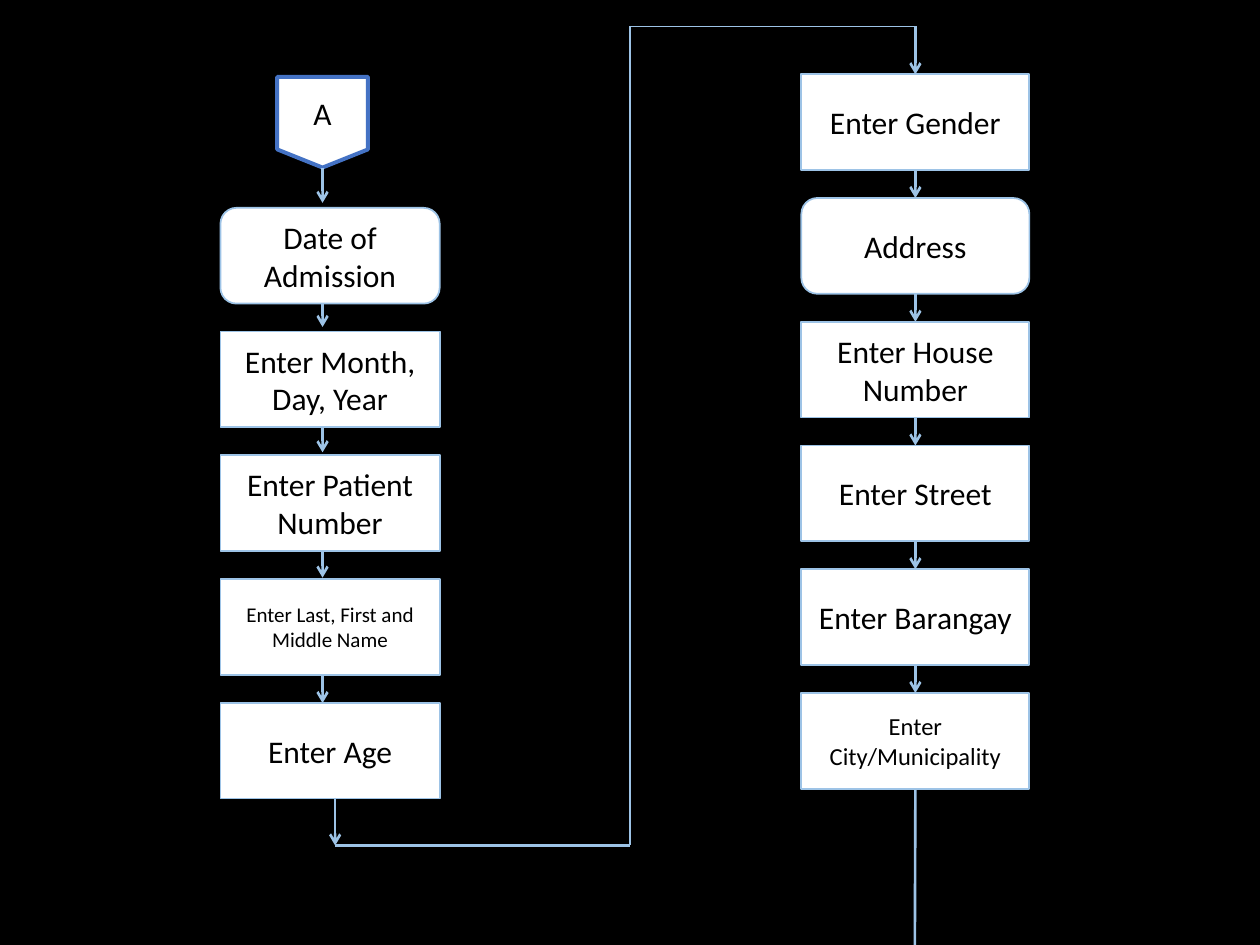
from itertools import pairwise

from lxml.etree import SubElement
from pptx import Presentation
from pptx.dml.color import RGBColor
from pptx.enum.shapes import MSO_CONNECTOR, MSO_SHAPE
from pptx.enum.text import MSO_ANCHOR, PP_ALIGN
from pptx.oxml.ns import qn
from pptx.util import Inches, Pt

BLACK, WHITE, LIGHT_BLUE, BLUE = "000000", "FFFFFF", "9DC3E6", "4472C4"
TOP, BOTTOM = 0, 2
BOX_HEIGHT, PITCH = 0.76, 0.982
LEFT_X, LEFT_WIDTH, LEFT_TOP = 1.75, 1.74, 1.65
RIGHT_X, RIGHT_WIDTH, RIGHT_TOP = 6.36, 1.81, 0.59
ENTRY_X, EXIT_X, RISER_X = 2.56, 2.66, 5
RIGHT_CENTER = RIGHT_X + RIGHT_WIDTH / 2
UPPER_Y, LOWER_Y = 0.21, 6.71

LEFT_STEPS = [
    ("Date of Admission", MSO_SHAPE.ROUNDED_RECTANGLE, 18),
    ("Enter Month, Day, Year", MSO_SHAPE.RECTANGLE, 18),
    ("Enter Patient Number", MSO_SHAPE.RECTANGLE, 18),
    ("Enter Last, First and Middle Name", MSO_SHAPE.RECTANGLE, 12),
    ("Enter Age", MSO_SHAPE.RECTANGLE, 18),
]
RIGHT_STEPS = [
    ("Enter Gender", MSO_SHAPE.RECTANGLE, 18),
    ("Address", MSO_SHAPE.ROUNDED_RECTANGLE, 18),
    ("Enter House Number", MSO_SHAPE.RECTANGLE, 18),
    ("Enter Street", MSO_SHAPE.RECTANGLE, 18),
    ("Enter Barangay", MSO_SHAPE.RECTANGLE, 18),
    ("Enter City/Municipality", MSO_SHAPE.RECTANGLE, 14),
]


def color(value):
    return RGBColor.from_string(value)


class Flowchart:
    """Draws styled flowchart elements on the current slide."""

    font_name = "Calibri"

    def __init__(self, slide):
        self.slide = slide
        slide.background.fill.solid()
        slide.background.fill.fore_color.rgb = color(BLACK)

    def box(self, text, kind, size, left, top, width, height,
            line=LIGHT_BLUE, weight=1):
        shape = self.slide.shapes.add_shape(
            kind, Inches(left), Inches(top), Inches(width), Inches(height))
        shape.shadow.inherit = False
        shape.fill.solid()
        shape.fill.fore_color.rgb = color(WHITE)
        shape.line.color.rgb = color(line)
        shape.line.width = Pt(weight)
        frame = shape.text_frame
        frame.word_wrap = True
        frame.vertical_anchor = MSO_ANCHOR.MIDDLE
        paragraph = frame.paragraphs[0]
        paragraph.alignment = PP_ALIGN.CENTER
        run = paragraph.add_run()
        run.text = text
        run.font.name = self.font_name
        run.font.size = Pt(size)
        run.font.color.rgb = color(BLACK)
        return shape

    def column(self, steps, left, top, width):
        return [self.box(text, kind, size, left, top + row * PITCH, width, BOX_HEIGHT)
                for row, (text, kind, size) in enumerate(steps)]

    def line(self, start, end, weight=1.5):
        connector = self.slide.shapes.add_connector(
            MSO_CONNECTOR.STRAIGHT, *map(Inches, (*start, *end)))
        connector.line.color.rgb = color(LIGHT_BLUE)
        connector.line.width = Pt(weight)
        SubElement(connector._element.spPr, qn("a:effectLst"))
        return connector

    def arrow(self, start, end, source=None, target=None):
        connector = self.line(start, end)
        SubElement(connector.line._get_or_add_ln(), qn("a:tailEnd"), type="arrow")
        if source is not None:
            connector.begin_connect(source, BOTTOM)
        if target is not None:
            connector.end_connect(target, TOP)


def main():
    presentation = Presentation()
    presentation.slide_width, presentation.slide_height = Inches(10), Inches(7.5)
    chart = Flowchart(presentation.slides.add_slide(presentation.slide_layouts[6]))

    for row in range(1, len(LEFT_STEPS)):
        start = 1.15 + row * 0.995
        chart.arrow((ENTRY_X, start), (ENTRY_X, start + 0.45))
    chart.column(LEFT_STEPS, LEFT_X, LEFT_TOP, LEFT_WIDTH)
    page_marker = chart.box("A", MSO_SHAPE.FLOWCHART_OFFPAGE_CONNECTOR, 18,
                            2.2, 0.61, 0.72, 0.72, BLUE, 2.25)
    chart.arrow((ENTRY_X, 1.33), (ENTRY_X, 1.61), source=page_marker)

    right_boxes = chart.column(RIGHT_STEPS, RIGHT_X, RIGHT_TOP, RIGHT_WIDTH)
    for row, (source, target) in enumerate(pairwise(right_boxes)):
        top = RIGHT_TOP + row * PITCH
        chart.arrow((RIGHT_CENTER, top + BOX_HEIGHT), (RIGHT_CENTER, top + PITCH),
                    source, target)
    chart.arrow((RIGHT_CENTER, 6.26), (7.26, 7.75), source=right_boxes[-1])

    chart.arrow((EXIT_X, 6.33), (EXIT_X, LOWER_Y))
    chart.line((EXIT_X, LOWER_Y), (RISER_X, LOWER_Y))
    chart.line((RISER_X, UPPER_Y), (RISER_X, LOWER_Y))
    chart.line((RISER_X, UPPER_Y), (RIGHT_CENTER, UPPER_Y), 0.5)
    chart.arrow((RIGHT_CENTER, UPPER_Y), (RIGHT_CENTER, RIGHT_TOP),
                target=right_boxes[0])

    presentation.save("out.pptx")


if __name__ == "__main__":
    main()
